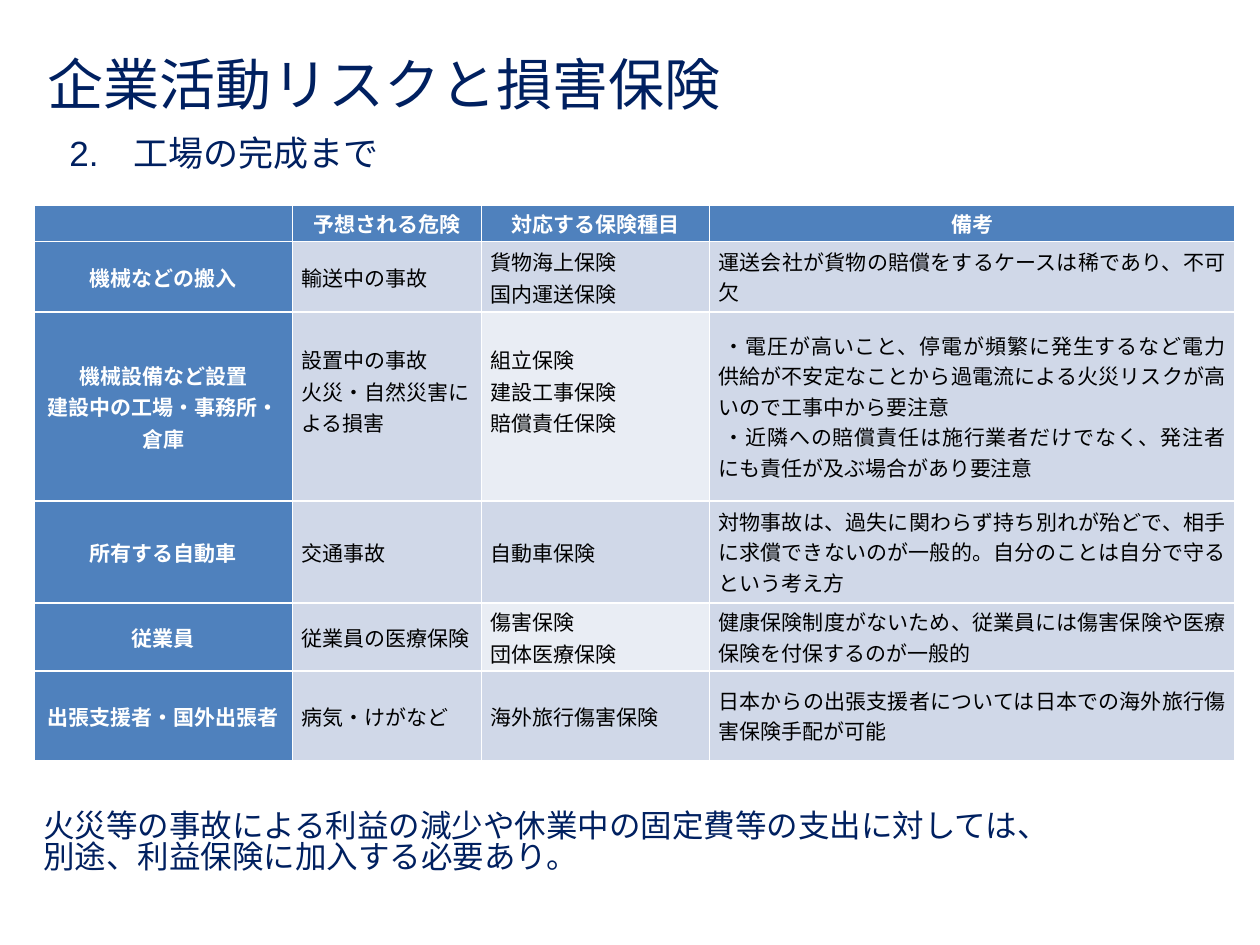
from dataclasses import dataclass

from pptx import Presentation
from pptx.dml.color import RGBColor
from pptx.enum.shapes import MSO_SHAPE
from pptx.enum.text import MSO_ANCHOR, PP_ALIGN
from pptx.util import Pt

MIDDLE = MSO_ANCHOR.MIDDLE
LEFT, CENTER, JUSTIFY = PP_ALIGN.LEFT, PP_ALIGN.CENTER, PP_ALIGN.JUSTIFY
ROUNDED = MSO_SHAPE.ROUNDED_RECTANGLE
TITLE_ONLY = 5


@dataclass(frozen=True)
class Theme:
    navy = RGBColor(0x00, 0x20, 0x60)
    white = RGBColor(0xFF, 0xFF, 0xFF)
    black = RGBColor(0x00, 0x00, 0x00)
    head_fill = RGBColor(0x4F, 0x81, 0xBD)
    body_fill = RGBColor(0xD0, 0xD8, 0xE8)
    light_fill = RGBColor(0xE9, 0xED, 0xF4)
    title_font, text_font, table_font = "Noto Sans CJK JP", "Arial", "Calibri"
    title_size, subtitle_size, note_size, table_size = Pt(32), Pt(20), Pt(18), Pt(12)
    table_leading = Pt(18)


theme = Theme()


def style_paragraph(paragraph, font_name, size, color, alignment=LEFT, bold=False):
    """Set the font and alignment of one paragraph."""
    font = paragraph.font
    font.name, font.size, font.bold = font_name, size, bold
    font.color.rgb = color
    paragraph.alignment = alignment


presentation = Presentation()
presentation.slide_width, presentation.slide_height = Pt(720), Pt(540)
slide = presentation.slides.add_slide(presentation.slide_layouts[TITLE_ONLY])

title = slide.shapes.title
title.left, title.top, title.width, title.height = Pt(20.2), Pt(26), Pt(510), Pt(42.5)
title.text_frame.text = "企業活動リスクと損害保険"
title.text_frame.vertical_anchor = MIDDLE
style_paragraph(title.text_frame.paragraphs[0], theme.title_font, theme.title_size, theme.navy)

# Risk table: one line of text per paragraph
column_widths = [147.6, 108, 130.3, 300.2]
row_heights = [20.9, 40.3, 108, 58.3, 38.9, 51.1]
rows = [
    ["", "予想される危険", "対応する保険種目", "備考"],
    ["機械などの搬入", "輸送中の事故", "貨物海上保険\n国内運送保険",
     "運送会社が貨物の賠償をするケースは稀であり、不可欠"],
    ["機械設備など設置\n建設中の工場・事務所・倉庫",
     "設置中の事故\n火災・自然災害に\nよる損害",
     "組立保険\n建設工事保険\n賠償責任保険",
     "・電圧が高いこと、停電が頻繁に発生するなど電力供給が不安定なことから"
     "過電流による火災リスクが高いので工事中から要注意\n"
     "・近隣への賠償責任は施行業者だけでなく、発注者にも責任が及ぶ場合があり要注意"],
    ["所有する自動車", "交通事故", "自動車保険",
     "対物事故は、過失に関わらず持ち別れが殆どで、相手に求償できないのが一般的。"
     "自分のことは自分で守るという考え方"],
    ["従業員", "従業員の医療保険", "傷害保険\n団体医療保険",
     "健康保険制度がないため、従業員には傷害保険や医療保険を付保するのが一般的"],
    ["出張支援者・国外出張者", "病気・けがなど", "海外旅行傷害保険",
     "日本からの出張支援者については日本での海外旅行傷害保険手配が可能"],
]
INSTALLATION_ROW, INSURANCE_COLUMN, REMARKS_COLUMN = 2, 2, 3

table = slide.shapes.add_table(
    len(rows), len(column_widths), Pt(19.6), Pt(117),
    Pt(sum(column_widths)), Pt(sum(row_heights))).table
table.first_col = True
for column, width in zip(table.columns, column_widths):
    column.width = Pt(width)

for row_index, (texts, height) in enumerate(zip(rows, row_heights)):
    table.rows[row_index].height = Pt(height)
    for column_index, text in enumerate(texts):
        cell = table.cell(row_index, column_index)
        heading = row_index == 0 or column_index == 0
        is_light = column_index == INSURANCE_COLUMN and row_index % 2 == 0
        cell.fill.solid()
        cell.fill.fore_color.rgb = (
            theme.head_fill if heading else theme.light_fill if is_light else theme.body_fill)
        cell.vertical_anchor = MIDDLE
        cell.margin_left = cell.margin_right = Pt(5)
        cell.margin_top = cell.margin_bottom = 0
        if row_index == INSTALLATION_ROW and column_index in (1, 2):
            cell.margin_bottom = theme.table_leading
        cell.text_frame.text = text
        font_name = theme.text_font if row_index and column_index < 2 else theme.table_font
        for paragraph in cell.text_frame.paragraphs:
            style_paragraph(paragraph, font_name, theme.table_size,
                            theme.white if heading else theme.black,
                            CENTER if heading else JUSTIFY, heading)
            if heading or column_index != REMARKS_COLUMN:
                paragraph.line_spacing = theme.table_leading
            if paragraph.text.startswith("・"):
                paragraph._p.get_or_add_pPr().set("indent", str(Pt(3)))

# Subtitle above the table and note below it
captions = [
    ("2.\u3000工場の完成まで", theme.subtitle_size, 1.0, (31, 71.3, 311.8, 31.7)),
    ("火災等の事故による利益の減少や休業中の固定費等の支出に対しては、"
     "別途、利益保険に加入する必要あり。", theme.note_size, 0.83, (14.4, 450, 601.2, 64)),
]
for text, size, line_spacing, box in captions:
    caption = slide.shapes.add_shape(ROUNDED, *map(Pt, box))
    caption.shadow.inherit = False
    caption.fill.solid()
    caption.fill.fore_color.rgb = theme.white
    caption.line.fill.background()
    caption.text_frame.text = text
    caption.text_frame.word_wrap = True
    caption.text_frame.vertical_anchor = MIDDLE
    paragraph = caption.text_frame.paragraphs[0]
    style_paragraph(paragraph, theme.text_font, size, theme.navy)
    paragraph.line_spacing = line_spacing

presentation.save("out.pptx")
